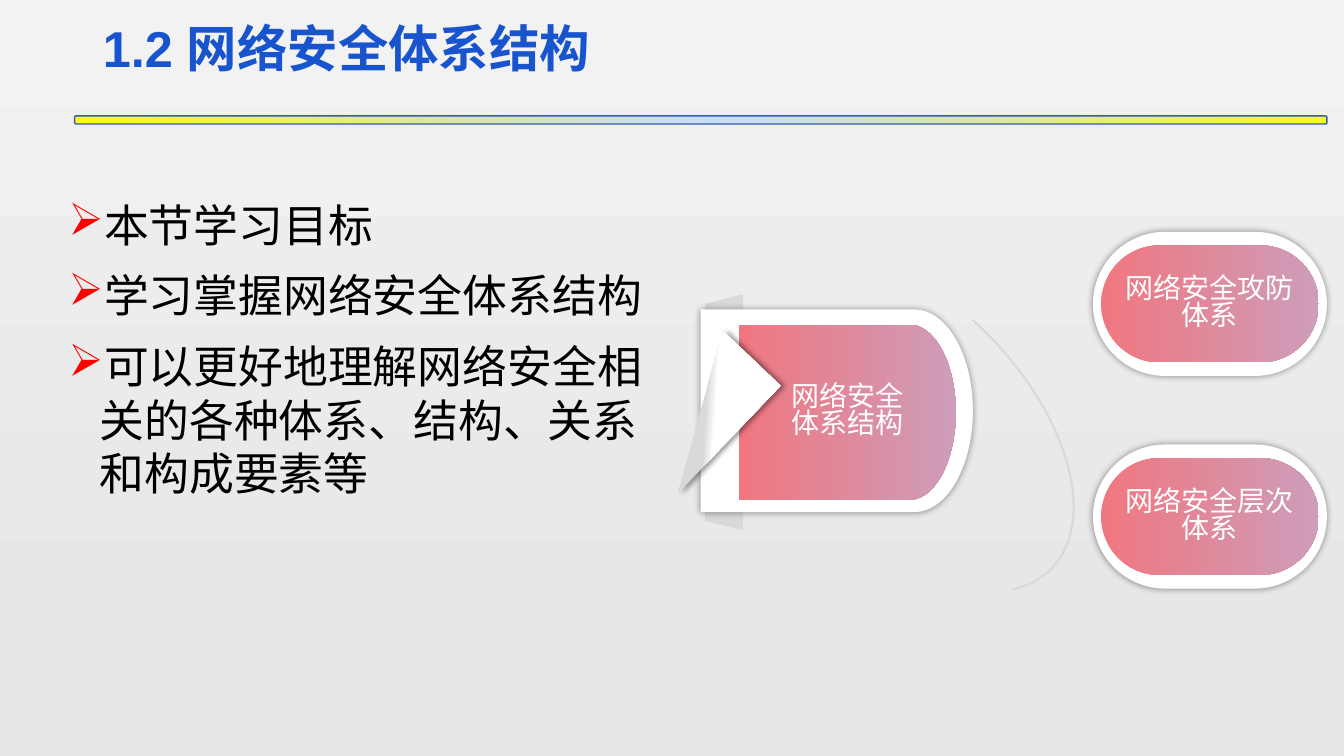
import copy
import math
import typing

import lxml.etree
import pptx
import pptx.dml.color
import pptx.enum.shapes
import pptx.enum.text
import pptx.oxml.ns
import pptx.util

SHAPES = pptx.enum.shapes.MSO_SHAPE
ALIGN = pptx.enum.text.PP_ALIGN
MIDDLE = pptx.enum.text.MSO_ANCHOR.MIDDLE
qn = pptx.oxml.ns.qn

SLIDE_WIDTH = pptx.util.Inches(13.33)
SLIDE_HEIGHT = pptx.util.Inches(7.5)
GRID_STEP = pptx.util.Inches(0.1)
PINK_TO_LILAC = [(0, "F07780"), (1, "CD9DB9")]
YELLOW_BLUE_YELLOW = [(0, "FBFB11"), (0.51, "C6DCFF"), (1, "F7F923")]
LABEL_FONT = {"name": "Arial", "size": pptx.util.Pt(20)}
TITLE_FONT = {"name": "Arial", "size": pptx.util.Pt(36), "bold": True}
GOAL_FONT = {"name": "Arial", "size": pptx.util.Pt(32)}
NO_INSETS = dict.fromkeys(("margin_left", "margin_top", "margin_right", "margin_bottom"), 0)


class Box(typing.NamedTuple):
    column: float
    row: float
    columns: float
    rows: float

    def place(self, column, row, columns, rows):
        return Box(self.column + column, self.row + row, columns, rows)

    def inset(self, across, down):
        return self.place(across, down, self.columns - 2 * across, self.rows - 2 * down)

    def lengths(self):
        return [round(value * GRID_STEP) for value in self]


def rgb(value):
    return pptx.dml.color.RGBColor.from_string(value)


def apply(target, values):
    for name, value in values.items():
        setattr(target, name, value)


def style_font(paragraph, values, color):
    apply(paragraph.font, values)
    paragraph.font.color.rgb = rgb(color)


def solid(shape, color):
    shape.fill.solid()
    shape.fill.fore_color.rgb = rgb(color)


def gradient(fill, element, stops, clockwise=0):
    fill.gradient()
    fill.gradient_angle = (360 - clockwise) % 360
    stop_list = element.find(".//" + qn("a:gsLst"))
    while len(stop_list) < len(stops):
        stop_list.append(copy.deepcopy(stop_list[-1]))
    for stop, (position, color) in zip(fill.gradient_stops, stops):
        stop.position = position
        stop.color.rgb = rgb(color)


def plain(shape):
    shape.shadow.inherit = False
    shape.line.fill.background()
    return shape


def add_preset(slide, kind, box, rotation=0, adjustments=()):
    shape = plain(slide.shapes.add_shape(kind, *box.lengths()))
    shape.rotation = rotation
    for index, value in enumerate(adjustments):
        shape.adjustments[index] = value
    return shape


def add_shadow(shape, blur, distance=0):
    effects = shape._element.spPr.find(qn("a:effectLst"))
    shadow = lxml.etree.SubElement(effects, qn("a:outerShdw"), blurRad=str(pptx.util.Pt(blur)),
                                   dist=str(pptx.util.Pt(distance)), dir="0", rotWithShape="0")
    color = lxml.etree.SubElement(shadow, qn("a:srgbClr"), val="000000")
    lxml.etree.SubElement(color, qn("a:alpha"), val="40000")


def add_label(shape, lines):
    gradient(shape.fill, shape._element, PINK_TO_LILAC)
    frame = shape.text_frame
    apply(frame, {**NO_INSETS, "word_wrap": True, "vertical_anchor": MIDDLE})
    frame.text = "\n".join(lines)
    for paragraph in frame.paragraphs:
        apply(paragraph, {"alignment": ALIGN.CENTER, "line_spacing": 0.8})
        style_font(paragraph, LABEL_FONT, "FFFFFF")


def add_round_end(slide, box):
    left, top, width, height = box.lengths()
    flat = 0.785 * width
    steps = 60
    curve = []
    for step in range(steps + 1):
        angle = math.pi * step / steps
        curve.append((left + flat + (width - flat) * math.sin(angle),
                      top + height * (1 - math.cos(angle)) / 2))
    builder = slide.shapes.build_freeform(left, top)
    builder.add_line_segments(curve + [(left, top + height)], close=True)
    return plain(builder.convert_to_shape())


def add_core(slide, box):
    fold = add_preset(slide, SHAPES.TRAPEZOID, box.place(-9.4, 8.3, 23.4, 3.8), 270, [0.245])
    solid(fold, "D9D9D9")
    frame = add_round_end(slide, box)
    solid(frame, "FFFFFF")
    add_shadow(frame, 5)
    add_label(add_round_end(slide, box.place(3.8, 1.5, 21.5, 17.4)), ["网络安全", "体系结构"])
    flap = add_preset(slide, SHAPES.RIGHT_TRIANGLE, box.place(-4, 2.8, 7.9, 14.8), 223.6)
    gradient(flap.fill, flap._element, [(0.53, "D9D9D9"), (0.59, "FFFFFF")], 140)
    add_shadow(flap, 4, 3)


def add_capsule(slide, box, text):
    frame = add_preset(slide, SHAPES.ROUNDED_RECTANGLE, box, adjustments=[0.5])
    solid(frame, "FFFFFF")
    add_shadow(frame, 5)
    inner = add_preset(slide, SHAPES.ROUNDED_RECTANGLE, box.inset(0.8, 1.35), adjustments=[0.5])
    add_label(inner, [text])


def add_diagram(slide, box):
    add_core(slide, box.place(0, 7.7, 27, 20.1))
    for index, text in enumerate(["网络安全攻防体系", "网络安全层次体系"]):
        add_capsule(slide, box.place(38.9, 21.1 * index, 23.2, 14.3), text)
    arc = add_preset(slide, SHAPES.ARC, box.place(-1.3, 6.5, 42.2, 24.1), 45, [156.73, 7])
    arc.fill.background()
    arc.line.color.rgb = rgb("D9D9D9")
    arc.line.width = pptx.util.Pt(1.5)


def add_header(slide, box):
    bar = add_preset(slide, SHAPES.ROUNDED_RECTANGLE, box.place(0, 10.8, box.columns, 0.8))
    gradient(bar.fill, bar._element, YELLOW_BLUE_YELLOW)
    bar.line.color.rgb = rgb("355CAD")
    bar.line.width = pptx.util.Pt(1)
    title = slide.shapes.title
    places = box.place(1.8, 0, 115, 8.7).lengths()
    apply(title, dict(zip(("left", "top", "width", "height"), places)))
    title.text_frame.text = "1.2 网络安全体系结构"
    title.text_frame.vertical_anchor = MIDDLE
    paragraph = title.text_frame.paragraphs[0]
    apply(paragraph, {"alignment": ALIGN.LEFT, "line_spacing": 0.9})
    style_font(paragraph, TITLE_FONT, "1754CD")


def add_bullet(paragraph):
    properties = paragraph._p.get_or_add_pPr()
    indent = pptx.util.Inches(0.31)
    properties.set("marL", str(indent))
    properties.set("indent", str(-indent))
    color = lxml.etree.SubElement(properties, qn("a:buClr"))
    lxml.etree.SubElement(color, qn("a:srgbClr"), val="FF0000")
    lxml.etree.SubElement(properties, qn("a:buChar"), char="➢")


def add_goals(slide, box):
    frame = slide.shapes.add_textbox(*box.lengths()).text_frame
    frame.word_wrap = True
    frame.text = "\n".join([
        "本节学习目标",
        "学习掌握网络安全体系结构",
        "可以更好地理解网络安全相关的各种体系、结构、关系和构成要素等",
    ])
    for index, paragraph in enumerate(frame.paragraphs):
        add_bullet(paragraph)
        paragraph.space_before = pptx.util.Pt(6 if index else 0)
        paragraph.space_after = pptx.util.Pt(6)
        style_font(paragraph, GOAL_FONT, "000000")


def main():
    presentation = pptx.Presentation()
    apply(presentation, {"slide_width": SLIDE_WIDTH, "slide_height": SLIDE_HEIGHT})
    slide = presentation.slides.add_slide(presentation.slide_layouts[5])
    gradient(slide.background.fill, slide._element, [(0, "F2F2F2"), (1, "E6E4E4")], 90)
    add_diagram(slide, Box(69.5, 23, 62.1, 35.4))
    add_header(slide, Box(7.4, 0.7, 124.2, 11.6))
    add_goals(slide, Box(5.8, 19.1, 61, 31.3))
    presentation.save("out.pptx")


if __name__ == "__main__":
    main()
